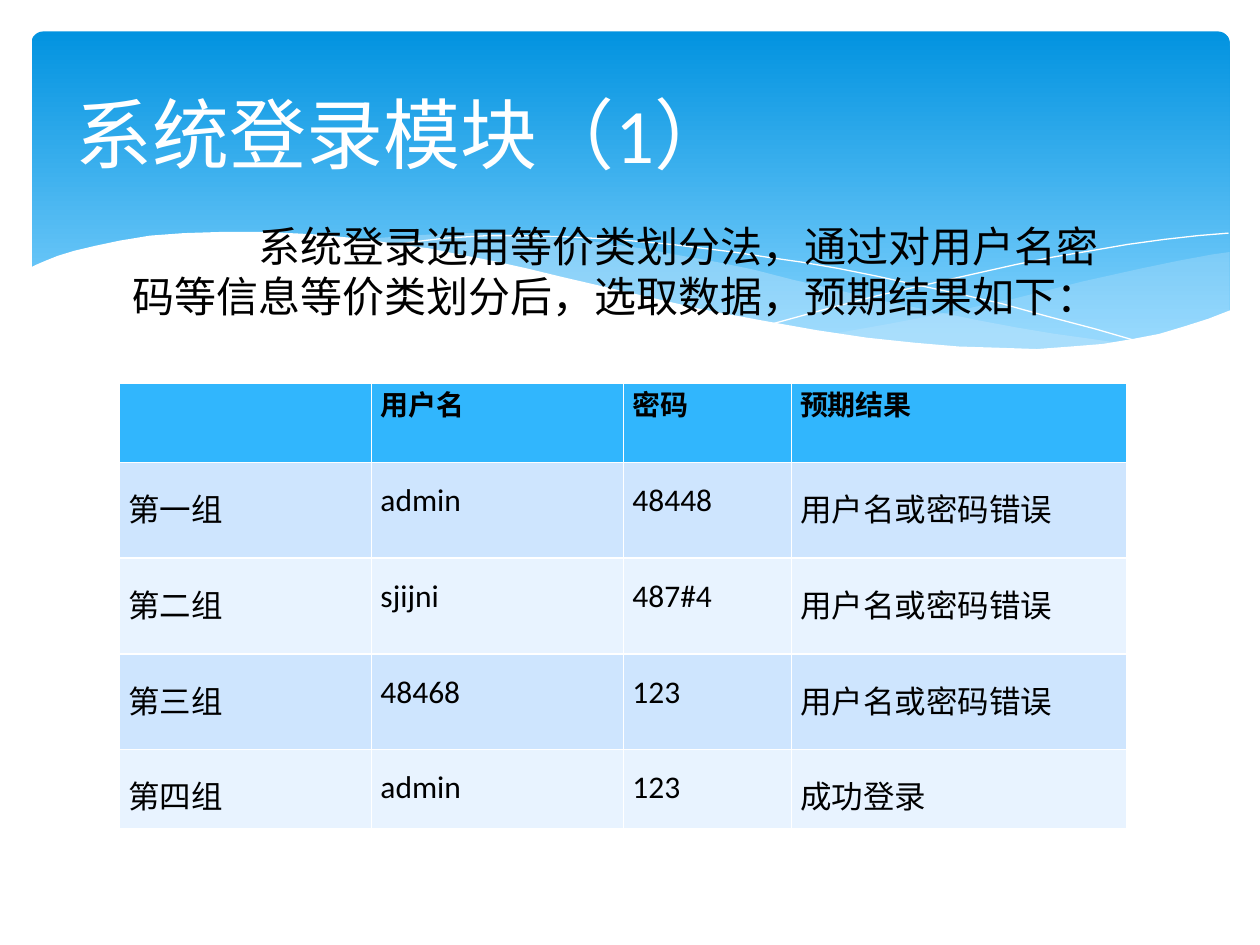
from lxml import etree
from pptx import Presentation
from pptx.dml.color import RGBColor
from pptx.enum.shapes import MSO_SHAPE
from pptx.enum.text import MSO_ANCHOR, PP_ALIGN
from pptx.oxml.ns import qn
from pptx.util import Inches, Pt

ROUNDED = MSO_SHAPE.ROUNDED_RECTANGLE
MIDDLE = MSO_ANCHOR.MIDDLE
LEFT, JUSTIFY = PP_ALIGN.LEFT, PP_ALIGN.JUSTIFY
FONT = "Calibri"
WHITE, BLACK, MIST = "FFFFFF", "000000", "C6E7FC"
HEADER_FILL, ROW_FILLS = "31B6FD", ("CEE5FE", "E8F3FF")

RIGHT_SWELL = [
    (9.76, 2), (9.62, 2.02), (9.35, 2.07), (9.06, 2.13), (8.61, 2.23),
    (8.05, 2.37), (7.53, 2.48), (7.06, 2.57), (6.61, 2.65), (6.91, 2.69),
    (7.19, 2.72), (7.45, 2.75), (7.69, 2.77), (8.03, 2.78), (8.35, 2.77),
    (8.63, 2.75), (8.89, 2.72), (9.13, 2.67), (9.35, 2.62), (9.49, 2.57),
    (9.63, 2.52), (9.76, 2.47),
]
MIDDLE_SWELL = [
    (8.93, 2.73), (8.66, 2.69), (8.37, 2.65), (8.07, 2.6), (7.75, 2.54),
    (7.41, 2.47), (7.06, 2.4), (6.68, 2.31), (6.29, 2.22), (5.98, 2.14),
    (5.69, 2.08), (5.41, 2.03), (5.14, 1.98), (4.89, 1.94), (4.65, 1.91),
    (4.42, 1.89), (4.2, 1.87), (3.99, 1.86), (3.8, 1.85), (3.61, 1.85),
    (3.28, 1.87), (2.99, 1.89), (2.86, 1.91), (3.23, 1.96), (3.62, 2.03),
    (4.04, 2.11), (4.49, 2.22), (4.91, 2.32), (5.3, 2.4), (5.66, 2.48),
    (6.01, 2.55), (6.34, 2.61), (6.65, 2.66), (6.95, 2.7), (7.22, 2.74),
    (7.48, 2.76), (7.73, 2.77), (7.96, 2.78), (8.38, 2.78), (8.67, 2.76),
]
LONG_CREST = [
    (3.09, 1.95), (3.28, 1.92), (3.53, 1.89), (3.87, 1.87), (4.16, 1.87),
    (4.5, 1.88), (4.89, 1.9), (5.33, 1.94), (5.82, 2), (6.08, 2.04),
    (6.36, 2.08), (6.65, 2.13), (6.95, 2.19), (7.27, 2.26), (7.6, 2.33),
    (7.95, 2.41), (8.31, 2.51), (8.69, 2.61), (9.07, 2.72),
]
SHORT_CREST = [
    (6.13, 2.57), (6.53, 2.46), (6.95, 2.35), (7.48, 2.23), (8.06, 2.1),
    (8.36, 2.04), (8.66, 1.99), (8.95, 1.94), (9.24, 1.9), (9.51, 1.87),
    (9.75, 1.85),
]
WHITE_WAVE = [
    (9.77, 2.46), (9.59, 2.53), (9.4, 2.59), (9.2, 2.65), (8.99, 2.69),
    (8.75, 2.73), (8.5, 2.75), (8.23, 2.77), (7.93, 2.76), (7.61, 2.75),
    (7.26, 2.72), (6.88, 2.68), (6.48, 2.62), (6.03, 2.54), (5.55, 2.45),
    (5.03, 2.33), (4.47, 2.2), (4.18, 2.13), (3.91, 2.07), (3.65, 2.02),
    (3.4, 1.97), (3.16, 1.94), (2.92, 1.9), (2.71, 1.88), (2.5, 1.86),
    (2.3, 1.85), (2.11, 1.84), (1.77, 1.84), (1.46, 1.85), (1.19, 1.87),
    (0.95, 1.91), (0.76, 1.95), (0.59, 1.99), (0.46, 2.03), (0.36, 2.07),
    (0.29, 2.1), (0.23, 2.13), (0.23, 3.29), (9.77, 3.29),
]

COLUMN_WIDTHS = (2, 2, 1.33, 2.66)
ROW_HEIGHTS = (0.63, 0.76, 0.76, 0.76, 0.63)
LOGIN_CASES = [
    ("", "用户名", "密码", "预期结果"),
    ("第一组", "admin", "48448", "用户名或密码错误"),
    ("第二组", "sjijni", "487#4", "用户名或密码错误"),
    ("第三组", "48468", "123", "用户名或密码错误"),
    ("第四组", "admin", "123", "成功登录"),
]


def rgb(code):
    """Turn a hex string into a colour."""
    return RGBColor.from_string(code)


def write(paragraph, text, size, color, align=LEFT, bold=False):
    """Fill a paragraph with evenly formatted text."""
    paragraph.text = text
    paragraph.alignment = align
    font = paragraph.font
    font.name, font.size, font.bold = FONT, Pt(size), bold
    font.color.rgb = rgb(color)


def add_banner(slide):
    """Draw the rounded gradient band behind the title."""
    banner = slide.shapes.add_shape(
        ROUNDED, Inches(0.25), Inches(0.25), Inches(9.51), Inches(2.7))
    banner.adjustments[0] = 0.034
    banner.shadow.inherit = False
    banner.line.fill.background()
    banner.fill.gradient()
    banner.fill.gradient_angle = 270
    stops = ((0, "0293E0"), (0.9, "83D3FE"))
    for stop, (position, color) in zip(banner.fill.gradient_stops, stops):
        stop.position = position
        stop.color.rgb = rgb(color)


def trace(slide, points, closed):
    """Build an unshadowed outline through points given in inches."""
    start, *rest = [(Inches(x), Inches(y)) for x, y in points]
    builder = slide.shapes.build_freeform(*start)
    builder.add_line_segments(rest, close=closed)
    outline = builder.convert_to_shape()
    outline.shadow.inherit = False
    return outline


def add_wave(slide, points, color, opacity=100):
    """Draw a filled wave, see-through below full opacity."""
    wave = trace(slide, points, True)
    wave.line.fill.background()
    wave.fill.solid()
    wave.fill.fore_color.rgb = rgb(color)
    if opacity < 100:
        tint = wave.fill._xPr.find(f".//{qn('a:srgbClr')}")
        etree.SubElement(tint, qn("a:alpha"), val=str(opacity * 1000))


def add_crest(slide, points):
    """Draw a white hairline along a wave."""
    crest = trace(slide, points, False)
    crest.fill.background()
    crest.line.color.rgb = rgb(WHITE)
    crest.line.width = Pt(0)


def set_title(slide, text):
    """Place and format the slide title."""
    title = slide.shapes.title
    title.left, title.top = Inches(0.5), Inches(0.37)
    title.width, title.height = Inches(9), Inches(1.37)
    title.text_frame.vertical_anchor = MIDDLE
    write(title.text_frame.paragraphs[0], text, 44, WHITE)


def add_case_table(slide):
    """Add the table of login test cases."""
    table = slide.shapes.add_table(
        len(LOGIN_CASES), len(COLUMN_WIDTHS), Inches(0.95), Inches(3.04),
        Inches(sum(COLUMN_WIDTHS)), Inches(sum(ROW_HEIGHTS))).table
    for column, width in zip(table.columns, COLUMN_WIDTHS):
        column.width = Inches(width)
    for index, (case, height) in enumerate(zip(LOGIN_CASES, ROW_HEIGHTS)):
        table.rows[index].height = Inches(height)
        header = index == 0
        for cell, text in zip(table.rows[index].cells, case):
            cell.fill.solid()
            cell.fill.fore_color.rgb = rgb(
                HEADER_FILL if header else ROW_FILLS[(index - 1) % 2])
            cell.margin_left = cell.margin_right = Inches(0.07)
            cell.margin_top = cell.margin_bottom = 0
            paragraph = cell.text_frame.paragraphs[0]
            write(paragraph, text, 16 if header else 18, BLACK, JUSTIFY, header)
            paragraph.line_spacing = 1 if header else 1.5


def add_intro(slide, text):
    """Add the introduction with an indented first line."""
    intro = slide.shapes.add_textbox(
        Inches(0.95), Inches(1.7), Inches(8.1), Inches(1.34))
    intro.text_frame.word_wrap = True
    paragraph = intro.text_frame.paragraphs[0]
    paragraph._p.get_or_add_pPr().set("indent", str(Inches(1)))
    write(paragraph, text, 24, BLACK)


def main():
    """Build and save the login module slide."""
    deck = Presentation()
    deck.slide_width, deck.slide_height = Inches(10), Inches(7.5)
    slide = deck.slides.add_slide(deck.slide_layouts.get_by_name("Title Only"))
    add_banner(slide)
    add_wave(slide, RIGHT_SWELL, MIST, 29)
    add_wave(slide, MIDDLE_SWELL, MIST, 40)
    add_crest(slide, LONG_CREST)
    add_crest(slide, SHORT_CREST)
    add_wave(slide, WHITE_WAVE, WHITE)
    # The title must sit above the banner in drawing order.
    slide.shapes._spTree.append(slide.shapes.title._element)
    set_title(slide, "系统登录模块（1）")
    add_case_table(slide)
    add_intro(slide, "系统登录选用等价类划分法，通过对用户名密码等信息等价类划分后，"
                     "选取数据，预期结果如下：")
    deck.save("out.pptx")


if __name__ == "__main__":
    main()
